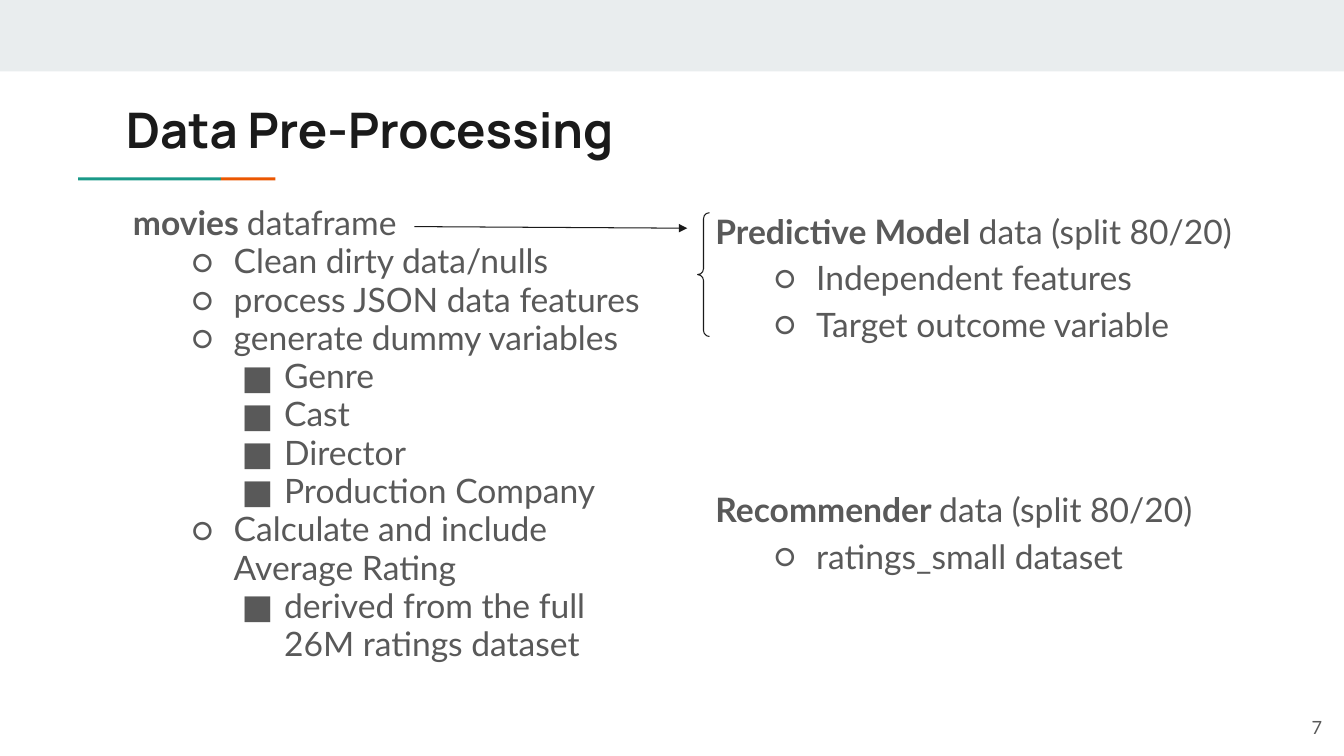
"""Build the data pre-processing slide."""
from lxml import etree
from pptx import Presentation
from pptx.dml.color import RGBColor
from pptx.enum.shapes import MSO_CONNECTOR, MSO_SHAPE
from pptx.enum.text import MSO_ANCHOR, MSO_AUTO_SIZE, PP_ALIGN
from pptx.oxml.ns import qn
from pptx.util import Cm, Pt

RECTANGLE, LEFT_BRACE = MSO_SHAPE.RECTANGLE, MSO_SHAPE.LEFT_BRACE
STRAIGHT = MSO_CONNECTOR.STRAIGHT
TOP, MIDDLE = MSO_ANCHOR.TOP, MSO_ANCHOR.MIDDLE
LEFT, RIGHT = PP_ALIGN.LEFT, PP_ALIGN.RIGHT
NO_AUTOFIT = MSO_AUTO_SIZE.NONE

COLORS = {"band": "E9EDEE", "teal": "1A9988", "orange": "EB5600",
          "dark": "1A1A1A", "text": "595959"}
BULLETS = {1: "○", 2: "■"}
MARGINS = {0: Cm(0), 1: Cm(2.54), 2: Cm(3.81)}
HANGING = Cm(-1.07)


def place_frame(box, left, top, width, height, anchor=TOP):
    """Position a text shape and return its prepared text frame."""
    box.left, box.top, box.width, box.height = Cm(left), Cm(top), Cm(width), Cm(height)
    frame = box.text_frame
    frame.word_wrap = True
    frame.auto_size = NO_AUTOFIT
    frame.vertical_anchor = anchor
    frame.margin_left = frame.margin_right = Cm(0.33)
    frame.margin_top = frame.margin_bottom = Cm(0.33)
    return frame


def style_font(para, name, size, color):
    """Set the typeface, size and colour of a paragraph."""
    para.font.name = name
    para.font.size = Pt(size)
    para.font.color.rgb = RGBColor.from_string(COLORS[color])


deck = Presentation()
deck.slide_width, deck.slide_height = Cm(33.87), Cm(19.05)
page = deck.slides.add_slide(deck.slide_layouts[3])
title, left_body, right_body = page.placeholders

bars = [("band", 0, 0, 33.87, 1.8),
        ("teal", 1.97, 4.47, 3.6, 0.08),
        ("orange", 5.57, 4.47, 1.37, 0.08)]
for color, left, top, width, height in bars:
    bar = page.shapes.add_shape(RECTANGLE, Cm(left), Cm(top), Cm(width), Cm(height))
    bar.shadow.inherit = False
    bar.fill.solid()
    bar.fill.fore_color.rgb = RGBColor.from_string(COLORS[color])
    bar.line.fill.background()

title_frame = place_frame(title, 2.84, 2.18, 25.5, 2.64)
title_frame.text = "Data Pre-Processing"
heading = title_frame.paragraphs[0]
heading.alignment = LEFT
style_font(heading, "Manrope", 35, "dark")
heading.font.bold = True

movies = [(0, "movies ", "dataframe", 0),
          (1, "", "Clean dirty data/nulls", 0),
          (1, "", "process JSON data features", 0),
          (1, "", "generate dummy variables", 0),
          (2, "", "Genre", 0),
          (2, "", "Cast", 0),
          (2, "", "Director", 0),
          (2, "", "Production Company", 0),
          (1, "", "Calculate and include Average Rating", 0),
          (2, "", "derived from the full 26M ratings dataset", 0)]
models = [(0, "Predictive Model ", "data (split 80/20)", 0),
          (1, "", "Independent features", 0),
          (1, "", "Target outcome variable", 0),
          (0, "Recommender ", "data (split 80/20)", 99.4),
          (1, "", "ratings_small dataset", 0)]
columns = [(left_body, 3.02, 0.95, movies), (right_body, 17.7, 1.15, models)]
for body, left, spacing, items in columns:
    frame = place_frame(body, left, 4.83, 13.9, 12.8)
    for index, (level, strong, plain, gap) in enumerate(items):
        para = frame.add_paragraph() if index else frame.paragraphs[0]
        para.level = level
        para.alignment = LEFT
        para.line_spacing = spacing
        para.space_before, para.space_after = Pt(gap), Pt(0)
        style_font(para, "Lato", 24, "text")
        if strong:
            span = para.add_run()
            span.text = strong
            span.font.bold = True
        para.add_run().text = plain

        properties = para._p.get_or_add_pPr()
        properties.set("marL", str(MARGINS[level]))
        properties.set("indent", str(HANGING if level else 0))
        marks = [etree.Element(qn("a:buNone"))]
        if level:
            marks = [etree.Element(qn(tag)) for tag in ("a:buClr", "a:buFont", "a:buChar")]
            etree.SubElement(marks[0], qn("a:srgbClr"), val=COLORS["text"])
            marks[1].set("typeface", "Lato")
            marks[2].set("char", BULLETS[level])
        default_font = properties.find(qn("a:defRPr"))
        for mark in marks:
            default_font.addprevious(mark)

number_box = page.shapes.add_textbox(0, 0, 0, 0)
number_frame = place_frame(number_box, 31.62, 17.6, 2.03, 1.45, MIDDLE)
number_frame.text = "7"
number = number_frame.paragraphs[0]
number.alignment = RIGHT
style_font(number, "Lato", 13, "text")

arrow = page.shapes.add_connector(STRAIGHT, Cm(10.44), Cm(5.71), Cm(17.32), Cm(5.75))
brace = page.shapes.add_shape(LEFT_BRACE, Cm(17.58), Cm(5.36), Cm(0.3), Cm(3.12))
brace.adjustments[0] = brace.adjustments[1] = 0.5
brace.shadow.inherit = False
brace.fill.background()
for outline in (arrow.line, brace.line):
    outline.color.rgb = RGBColor.from_string(COLORS["dark"])
    outline.width = Pt(0.75)
arrow_properties = arrow._element.spPr
etree.SubElement(arrow_properties.find(qn("a:ln")), qn("a:tailEnd"), type="triangle")
etree.SubElement(arrow_properties, qn("a:effectLst"))

deck.save("out.pptx")
